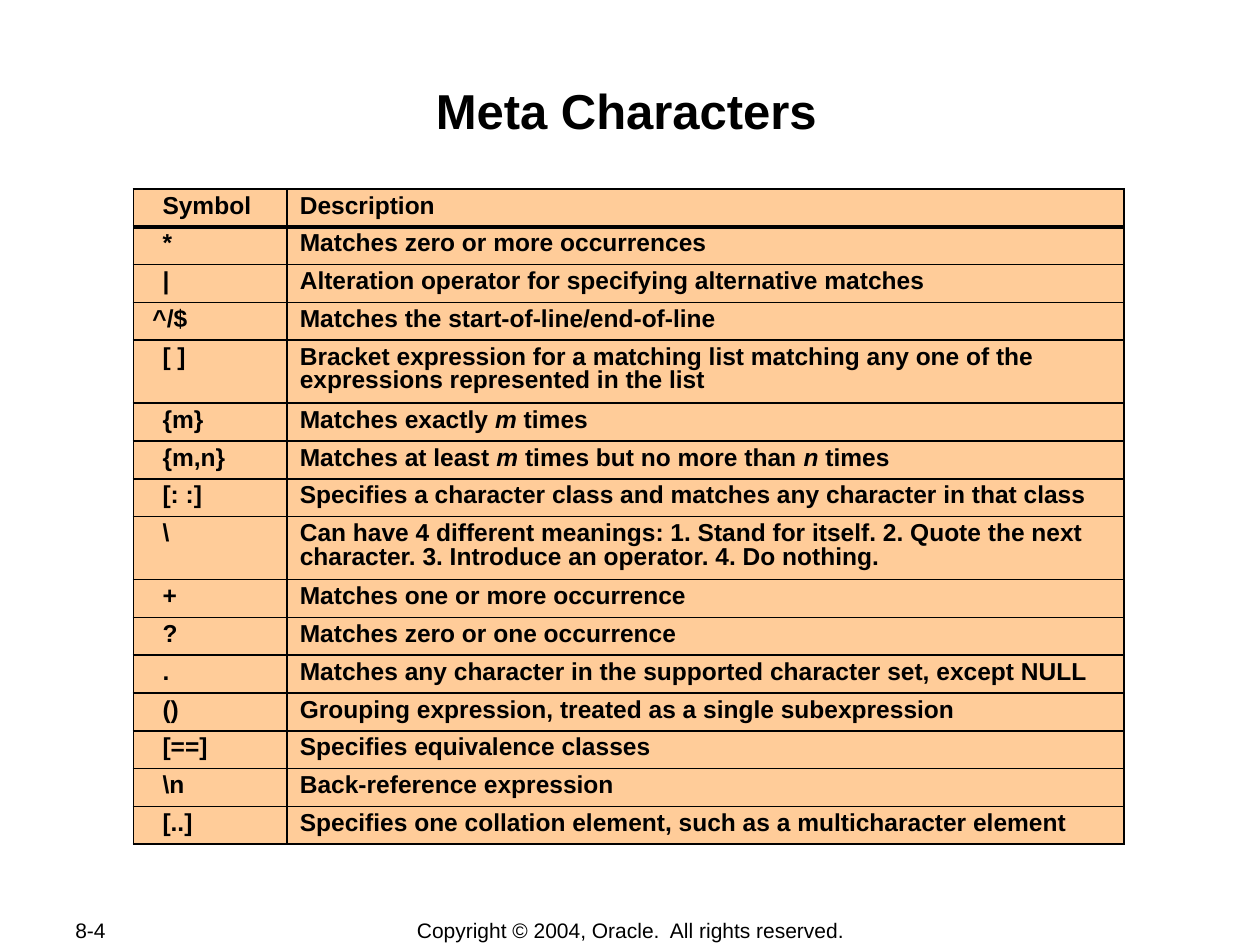
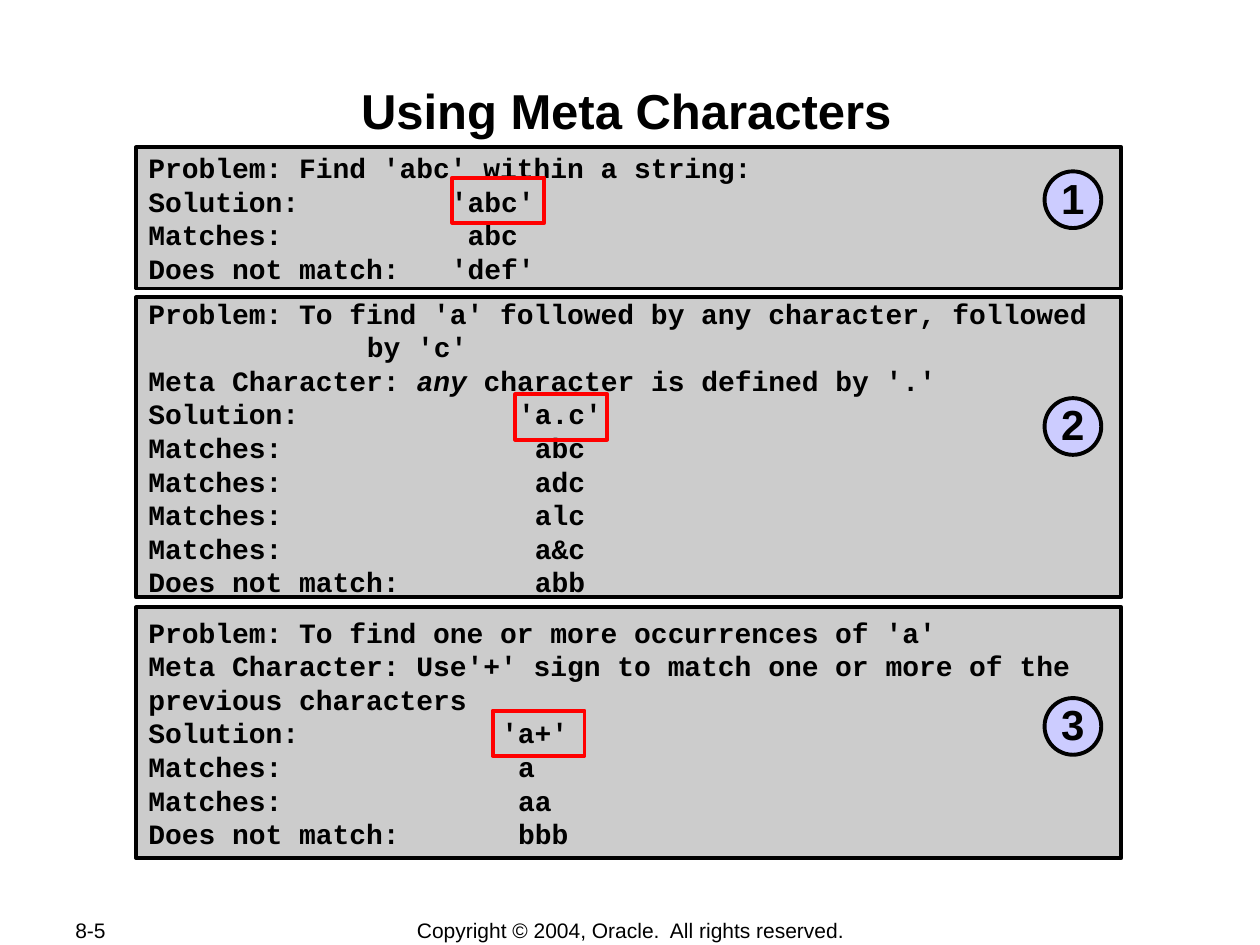
from lxml import etree
from pptx import Presentation
from pptx.dml.color import RGBColor
from pptx.enum.shapes import MSO_SHAPE
from pptx.enum.text import MSO_ANCHOR, PP_ALIGN
from pptx.oxml.ns import qn
from pptx.util import Inches, Pt

RECT, OVAL = MSO_SHAPE.RECTANGLE, MSO_SHAPE.OVAL
TOP, MIDDLE = MSO_ANCHOR.TOP, MSO_ANCHOR.MIDDLE
LEFT, CENTER = PP_ALIGN.LEFT, PP_ALIGN.CENTER
BLACK, RED, PEACH, GREY, LILAC = "000000", "FF0000", "FFCC99", "CCCCCC", "CCCCFF"
SANS, MONO = "Arial", "Courier New"
CHAR = 9.6 / 72
THIN, THICK = 1.08, 2.21

SYMBOLS = [
    ("Symbol", "Description"),
    ("*", "Matches zero or more occurrences"),
    ("|", "Alteration operator for specifying alternative matches"),
    ("^/$", "Matches the start-of-line/end-of-line"),
    ("[ ]", "Bracket expression for a matching list matching any one of the "
            "expressions represented in the list"),
    ("{m}", "Matches exactly ~m~ times"),
    ("{m,n}", "Matches at least ~m~ times but no more than ~n~ times"),
    ("[: :]", "Specifies a character class and matches any character in that class"),
    ("\\", "Can have 4 different meanings: 1. Stand for itself. 2. Quote the next "
           "character. 3. Introduce an operator. 4. Do nothing."),
    ("+", "Matches one or more occurrence"),
    ("?", "Matches zero or one occurrence"),
    (".", "Matches any character in the supported character set, except NULL"),
    ("()", "Grouping expression, treated as a single subexpression"),
    ("[==]", "Specifies equivalence classes"),
    ("\\n", "Back-reference expression"),
    ("[..]", "Specifies one collation element, such as a multicharacter element"),
]
TALL = ("[ ]", "\\")

PANELS = [
    (1.17, 1.12, 1.36, (3.59, 1.41), [
        ("Problem: Find 'abc' within a string:", 0, ""),
        ("Solution:", 18, "'abc'"),
        ("Matches:", 19, "abc"),
        ("Does not match:", 18, "'def'")]),
    (2.36, 2.38, 3.16, (4.09, 3.13), [
        ("Problem: To find 'a' followed by any character, followed", 0, ""),
        ("", 13, "by 'c'"),
        ("Meta Character: ~any~ character is defined by '.'", 0, ""),
        ("Solution:", 22, "'a.c'"),
        ("Matches:", 23, "abc"),
        ("Matches:", 23, "adc"),
        ("Matches:", 23, "alc"),
        ("Matches:", 23, "a&c"),
        ("Does not match:", 23, "abb")]),
    (4.82, 1.99, 5.54, (3.91, 5.64), [
        ("Problem: To find one or more occurrences of 'a'", 0, ""),
        ("Meta Character: Use'+' sign to match one or more of the "
         "previous characters", 0, ""),
        ("Solution:", 21, "'a+'"),
        ("Matches:", 22, "a"),
        ("Matches:", 22, "aa"),
        ("Does not match:", 22, "bbb")]),
]


def color(code):
    return RGBColor.from_string(code)


class Deck:
    """Holds the shared style and the current slide."""

    def __init__(self):
        self.prs = Presentation()
        self.prs.slide_width, self.prs.slide_height = Inches(10), Inches(7.5)
        self.slide = None

    def text(self, para, words, size, font=SANS, bold=True, align=LEFT):
        para.alignment = align
        for i, part in enumerate(words.split("~")):
            run = para.add_run()
            run.text = part
            run.font.name, run.font.size = font, Pt(size)
            run.font.bold, run.font.italic = bold, i % 2 == 1
            run.font.color.rgb = color(BLACK)

    def frame(self, shape, side, edge, anchor=MIDDLE, wrap=True):
        body = shape.text_frame
        body.margin_left = body.margin_right = Inches(side)
        body.margin_top = body.margin_bottom = Inches(edge)
        body.vertical_anchor, body.word_wrap = anchor, wrap
        return body

    def start(self, title, page):
        self.slide = self.prs.slides.add_slide(self.prs.slide_layouts[5])
        head = self.slide.shapes.title
        head.left, head.top = Inches(0.97), Inches(0.58)
        head.width, head.height = Inches(8), Inches(0.96)
        body = self.frame(head, 0.01, 0.01, TOP)
        body.margin_top = Inches(0.06)
        self.text(body.paragraphs[0], title, 28, align=CENTER)
        self.label(2.76, 4.49, "Copyright © 2004, Oracle.  All rights reserved.", CENTER)
        self.label(0.5, 1.06, page, LEFT)

    def label(self, left, width, words, align):
        box = self.slide.shapes.add_textbox(
            Inches(left), Inches(7.28), Inches(width), Inches(0.21))
        body = self.frame(box, 0.1, 0.05)
        self.text(body.paragraphs[0], words, 12, bold=False, align=align)

    def shape(self, kind, left, top, width, height, fill=None, line=BLACK):
        item = self.slide.shapes.add_shape(
            kind, Inches(left), Inches(top), Inches(width), Inches(height))
        item.shadow.inherit = False
        if fill:
            item.fill.solid()
            item.fill.fore_color.rgb = color(fill)
        else:
            item.fill.background()
        item.line.color.rgb, item.line.width = color(line), Pt(2.25)
        return item

    def panel(self, top, height, lines):
        box = self.shape(RECT, 1.08, top, 7.82, height, GREY)
        body = self.frame(box, 0.1, 0.01)
        for i, (name, col, value) in enumerate(lines):
            para = body.paragraphs[0] if i == 0 else body.add_paragraph()
            stop = str(Inches(col * CHAR))
            props = para._p.get_or_add_pPr()
            if name and col:
                tabs = etree.SubElement(props, qn("a:tabLst"))
                etree.SubElement(tabs, qn("a:tab"), pos=stop, algn="l")
                value = "\t" + value
            elif col:
                props.set("marL", stop)
            self.text(para, name + value, 16, MONO)

    def badge(self, top, words):
        dot = self.shape(OVAL, 8.29, top, 0.45, 0.45, LILAC)
        para = self.frame(dot, 0.05, 0.05, wrap=False).paragraphs[0]
        para.line_spacing = 0.95
        self.text(para, words, 24, align=CENTER)

    def border(self, cell, widths):
        props = cell._tc.get_or_add_tcPr()
        for i, (side, width) in enumerate(zip("LRTB", widths)):
            line = etree.Element(qn("a:ln" + side), w=str(Pt(width)))
            fill = etree.SubElement(line, qn("a:solidFill"))
            etree.SubElement(fill, qn("a:srgbClr"), val=BLACK)
            props.insert(i, line)

    def table(self, rows):
        grid = self.slide.shapes.add_table(
            len(rows), 2, Inches(1.06), Inches(1.5), Inches(7.86), Inches(5.2)).table
        grid.first_row = grid.horz_banding = False
        grid.columns[0].width, grid.columns[1].width = Inches(1.22), Inches(6.64)
        for r, row in enumerate(rows):
            grid.rows[r].height = Inches(0.5 if row[0] in TALL else 0.3)
            for c, words in enumerate(row):
                cell = grid.cell(r, c)
                cell.fill.solid()
                cell.fill.fore_color.rgb = color(PEACH)
                self.border(cell, (THIN, THIN, THICK if r == 1 else THIN,
                                   THICK if r == 0 else THIN))
                para = cell.text_frame.paragraphs[0]
                para.line_spacing = 0.85
                if c == 0:
                    indent = 0.05 if words == "^/$" else 0.13
                    para._p.get_or_add_pPr().set("marL", str(Inches(indent)))
                self.text(para, words, 14)


def main():
    deck = Deck()
    deck.start("Meta Characters", "8-4")
    deck.table(SYMBOLS)
    deck.start("Using Meta Characters", "8-5")
    for i, (top, height, dot, mark, lines) in enumerate(PANELS, 1):
        deck.panel(top, height, lines)
        deck.badge(dot, str(i))
        deck.shape(RECT, *mark, 0.73, 0.36, line=RED)
    deck.prs.save("out.pptx")


if __name__ == "__main__":
    main()
